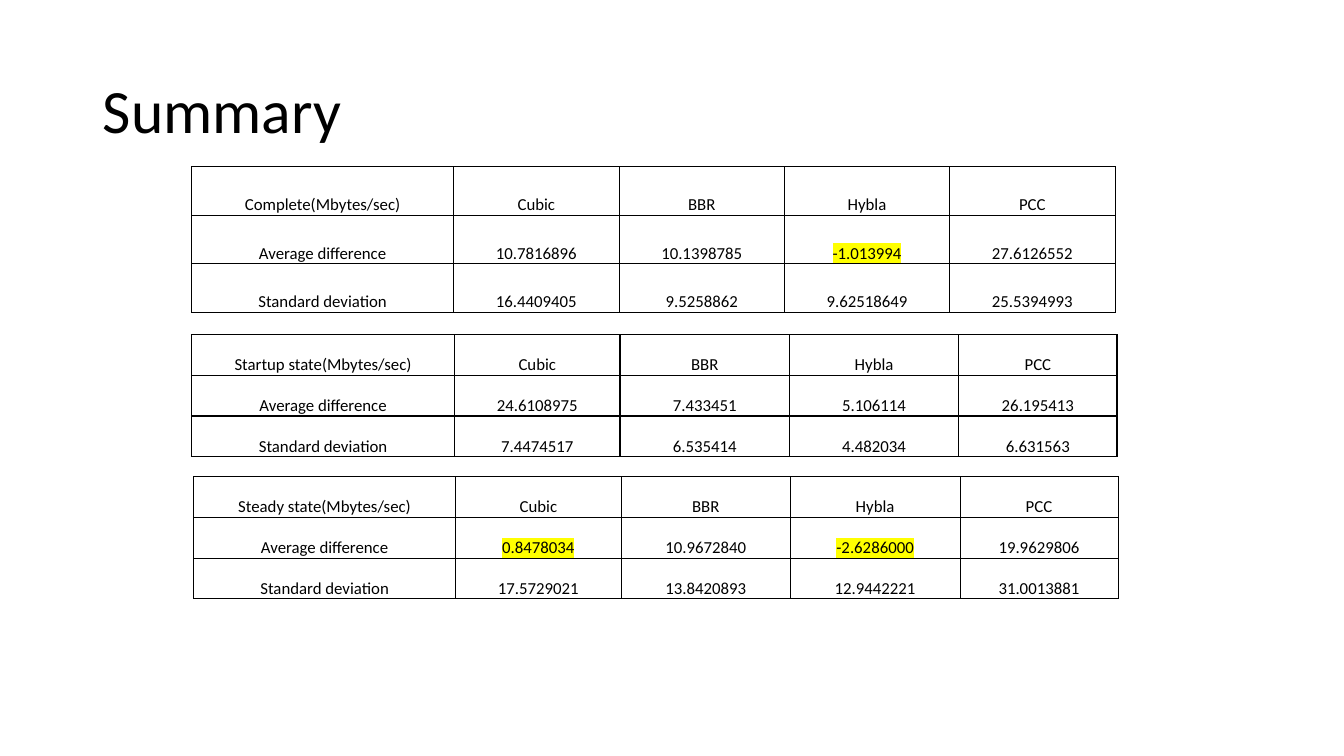
from dataclasses import dataclass

from lxml.etree import SubElement
from pptx import Presentation
from pptx.dml.color import RGBColor
from pptx.enum.text import MSO_ANCHOR, PP_ALIGN
from pptx.oxml import parse_xml
from pptx.oxml.ns import nsdecls, qn
from pptx.slide import Slide
from pptx.table import _Cell
from pptx.text.text import _Run
from pptx.util import Inches, Pt

FONT = "Calibri"
BLACK = "000000"
YELLOW = "FFFF00"
ALGORITHMS = ("Cubic", "BBR", "Hybla", "PCC")
EDGES = ("lnL", "lnR", "lnT", "lnB")


@dataclass(frozen=True)
class Measurement:
    heading: str
    left: float
    top: float
    height: float
    widths: tuple[float, ...]
    averages: tuple[str, ...]
    deviations: tuple[str, ...]
    border: float = 0.5
    highlighted: tuple[str, ...] = ()

    def rows(self) -> list[tuple[str, ...]]:
        return [
            (self.heading, *ALGORITHMS),
            ("Average difference", *self.averages),
            ("Standard deviation", *self.deviations),
        ]


MEASUREMENTS = (
    Measurement(
        "Complete(Mbytes/sec)", 1.9, 1.65, 1.45, (2.6, 1.64, 1.64, 1.64, 1.64),
        ("10.7816896", "10.1398785", "-1.013994", "27.6126552"),
        ("16.4409405", "9.5258862", "9.62518649", "25.5394993"),
        highlighted=("-1.013994",),
    ),
    Measurement(
        "Steady state(Mbytes/sec)", 1.92, 4.73, 1.21, (2.6, 1.64, 1.68, 1.68, 1.57),
        ("0.8478034", "10.9672840", "-2.6286000", "19.9629806"),
        ("17.5729021", "13.8420893", "12.9442221", "31.0013881"),
        highlighted=("0.8478034", "-2.6286000"),
    ),
    Measurement(
        "Startup state(Mbytes/sec)", 1.9, 3.32, 1.21, (2.61, 1.64, 1.68, 1.68, 1.57),
        ("24.6108975", "7.433451", "5.106114", "26.195413"),
        ("7.4474517", "6.535414", "4.482034", "6.631563"),
        border=1,
    ),
)


def color(value: str) -> RGBColor:
    return RGBColor.from_string(value)


def format_span(span: _Run, size: float) -> None:
    span.font.name = FONT
    span.font.size = Pt(size)
    span.font.bold = False
    span.font.color.rgb = color(BLACK)


def highlight(span: _Run) -> None:
    mark = parse_xml(f'<a:highlight {nsdecls("a")}><a:srgbClr val="{YELLOW}"/></a:highlight>')
    span.font._element.find(qn("a:solidFill")).addnext(mark)


def add_borders(cell: _Cell, width: float) -> None:
    properties = cell._tc.get_or_add_tcPr()
    for edge in EDGES:
        line = SubElement(properties, qn(f"a:{edge}"), w=str(Pt(width)))
        fill = SubElement(line, qn("a:solidFill"))
        SubElement(fill, qn("a:srgbClr"), val=BLACK)


def format_cell(cell: _Cell, text: str, border: float, marked: bool) -> None:
    cell.margin_left = cell.margin_right = cell.margin_top = Inches(0.01)
    cell.margin_bottom = 0
    cell.vertical_anchor = MSO_ANCHOR.BOTTOM
    add_borders(cell, border)
    cell.fill.background()
    cell.text_frame.text = text
    para = cell.text_frame.paragraphs[0]
    para.alignment = PP_ALIGN.CENTER
    span = para.runs[0]
    format_span(span, 12)
    if marked:
        highlight(span)


def add_measurement(page: Slide, measurement: Measurement) -> None:
    rows = measurement.rows()
    table = page.shapes.add_table(
        len(rows), len(measurement.widths),
        Inches(measurement.left), Inches(measurement.top),
        Inches(sum(measurement.widths)), Inches(measurement.height),
    ).table
    table.first_row = table.horz_banding = False
    for column, width in zip(table.columns, measurement.widths):
        column.width = Inches(width)
    for row, texts in zip(table.rows, rows):
        row.height = Inches(measurement.height / len(rows))
        for cell, text in zip(row.cells, texts):
            format_cell(cell, text, measurement.border, text in measurement.highlighted)


def add_title(page: Slide, text: str) -> None:
    title = page.shapes.title
    title.left, title.top = Inches(0.92), Inches(0.4)
    title.width, title.height = Inches(11.5), Inches(1.45)
    title.text_frame.text = text
    title.text_frame.vertical_anchor = MSO_ANCHOR.MIDDLE
    para = title.text_frame.paragraphs[0]
    para.alignment = PP_ALIGN.LEFT
    para.line_spacing = 0.9
    format_span(para.runs[0], 44)


def main() -> None:
    deck = Presentation()
    deck.slide_width, deck.slide_height = Inches(13.33), Inches(7.5)
    page = deck.slides.add_slide(deck.slide_layouts.get_by_name("Title Only"))
    add_title(page, "Summary")
    for measurement in MEASUREMENTS:
        add_measurement(page, measurement)
    deck.save("out.pptx")


if __name__ == "__main__":
    main()
